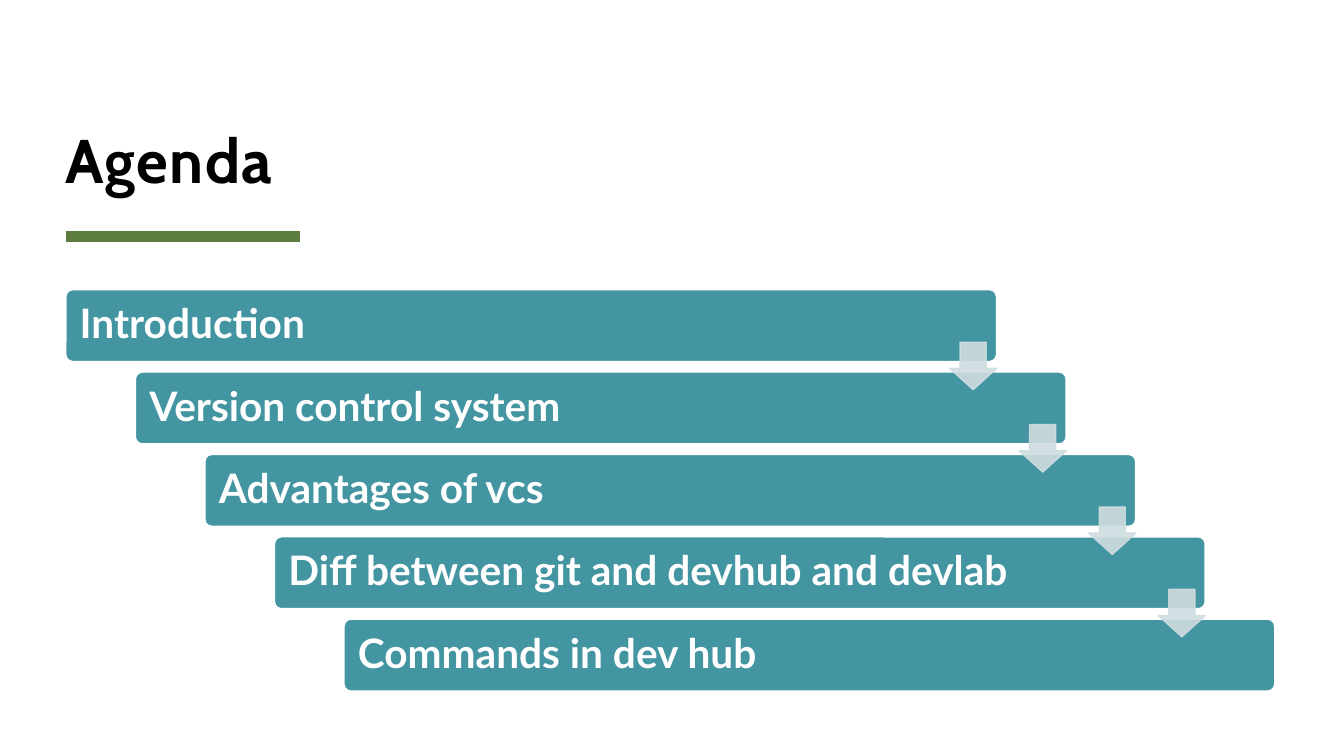
from dataclasses import dataclass

from lxml import etree
from pptx import Presentation
from pptx.dml.color import RGBColor
from pptx.enum.shapes import MSO_CONNECTOR, MSO_SHAPE
from pptx.enum.text import MSO_ANCHOR, MSO_AUTO_SIZE, PP_ALIGN
from pptx.oxml.ns import qn
from pptx.util import Pt

STRAIGHT = MSO_CONNECTOR.STRAIGHT
ROUNDED, DOWN_ARROW = MSO_SHAPE.ROUNDED_RECTANGLE, MSO_SHAPE.DOWN_ARROW
MIDDLE, BOTTOM = MSO_ANCHOR.MIDDLE, MSO_ANCHOR.BOTTOM
LEFT, NO_FIT = PP_ALIGN.LEFT, MSO_AUTO_SIZE.NONE

COLORS = {"title": "000000", "rule": "5D7D40", "bar": "4495A2",
          "white": "FFFFFF", "arrow": "CFDDE0"}
AGENDA = ["Introduction", "Version control system", "Advantages of vcs",
          "Diff between git and devhub and devlab", "Commands in dev hub"]
MARGIN = 46.8
STEP_X, STEP_Y = 49.68, 58.85


@dataclass
class Step:
    """One shape of the staircase, in points."""
    kind: MSO_SHAPE
    x: float
    y: float
    w: float
    h: float
    adjustments: tuple[float, ...]
    fill: str
    line: str
    line_width: float
    text: str = ""
    alpha: int = 100


def rgb(name: str) -> RGBColor:
    """Return a named colour."""
    return RGBColor.from_string(COLORS[name])


def format_text(tf, anchor, inset: float, spacing: float, font: str,
                size: float, color: str) -> None:
    """Format a one-paragraph, left-aligned bold text frame."""
    tf.word_wrap = True
    tf.auto_size = NO_FIT
    tf.vertical_anchor = anchor
    tf.margin_left = tf.margin_right = Pt(inset)
    tf.margin_top = tf.margin_bottom = Pt(inset)
    p = tf.paragraphs[0]
    p.alignment = LEFT
    p.line_spacing = spacing
    f = p.runs[0].font
    f.name, f.size, f.bold = font, Pt(size), True
    f.color.rgb = rgb(color)


def add_title(slide, text: str) -> None:
    """Fill and place the title placeholder."""
    sp = slide.shapes.title
    sp.left, sp.top, sp.width, sp.height = Pt(MARGIN), Pt(15.84), Pt(864), Pt(123.84)
    sp.text_frame.text = text
    format_text(sp.text_frame, BOTTOM, 0, 0.8, "Cabin", 44, "title")
    r = sp.text_frame.paragraphs[0].runs[0]
    r.font._element.set("spc", "100")


def add_rule(slide) -> None:
    """Draw the thick rule below the title."""
    line = slide.shapes.add_connector(STRAIGHT, Pt(MARGIN), Pt(169.2), Pt(214.56), Pt(169.2))
    line.line.color.rgb = rgb("rule")
    line.line.width = Pt(8)
    etree.SubElement(line._element.spPr, qn("a:effectLst"))


def add_step(slide, step: Step) -> None:
    """Draw a bar or an arrow of the staircase."""
    sp = slide.shapes.add_shape(step.kind, Pt(step.x), Pt(step.y), Pt(step.w), Pt(step.h))
    sp.shadow.inherit = False
    for i, value in enumerate(step.adjustments):
        sp.adjustments[i] = value
    sp.fill.solid()
    sp.fill.fore_color.rgb = rgb(step.fill)
    sp.line.color.rgb = rgb(step.line)
    sp.line.width = Pt(step.line_width)
    if step.alpha < 100:
        for color in sp._element.spPr.iter(qn("a:srgbClr")):
            etree.SubElement(color, qn("a:alpha"), val=str(step.alpha * 1000))
    if step.text:
        sp.text_frame.text = step.text
        format_text(sp.text_frame, MIDDLE, 8.64, 0.9, "Lato", 29, "white")


def main() -> None:
    """Build the agenda slide."""
    prs = Presentation()
    prs.slide_width, prs.slide_height = Pt(960), Pt(540)
    slide = prs.slides.add_slide(prs.slide_layouts[5])
    add_rule(slide)
    add_title(slide, "Agenda")
    bars = [Step(ROUNDED, MARGIN + i * STEP_X, 206.64 + i * STEP_Y, 665.28, 51.84,
                 (0.1,), "bar", "white", 1.5, text=text)
            for i, text in enumerate(AGENDA)]
    arrows = [Step(DOWN_ARROW, 678.24 + i * STEP_X, 244.5 + i * STEP_Y, 33.84, 33.84,
                   (0.55, 0.45), "arrow", "arrow", 1, alpha=90)
              for i in range(len(AGENDA) - 1)]
    for step in bars + arrows:
        add_step(slide, step)
    prs.save("out.pptx")


if __name__ == "__main__":
    main()
